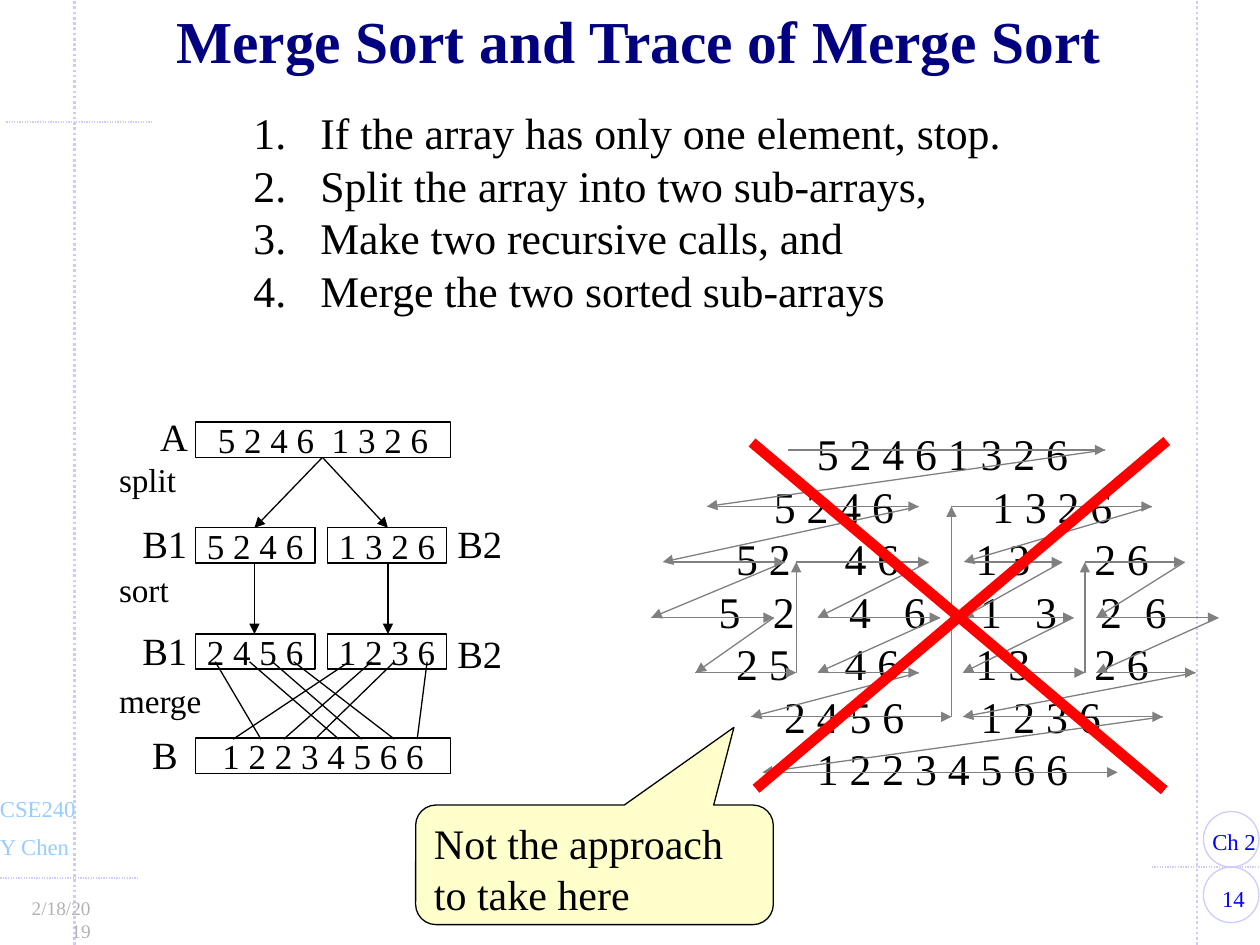
from itertools import pairwise

from lxml import etree
from pptx import Presentation
from pptx.dml.color import RGBColor
from pptx.enum.dml import MSO_LINE
from pptx.enum.shapes import MSO_CONNECTOR, MSO_SHAPE
from pptx.enum.text import MSO_ANCHOR, MSO_AUTO_SIZE, PP_ALIGN
from pptx.oxml.ns import qn
from pptx.util import Cm, Pt

STRAIGHT = MSO_CONNECTOR.STRAIGHT
DOTTED = MSO_LINE.ROUND_DOT
RECTANGLE = MSO_SHAPE.RECTANGLE
OVAL = MSO_SHAPE.OVAL
CALLOUT = MSO_SHAPE.ROUNDED_RECTANGULAR_CALLOUT
LEFT, CENTER, RIGHT = PP_ALIGN.LEFT, PP_ALIGN.CENTER, PP_ALIGN.RIGHT
TOP, MIDDLE = MSO_ANCHOR.TOP, MSO_ANCHOR.MIDDLE

FONT = "Times New Roman"
COLORS = {
    "title": "000080", "text": "000000", "course": "99CCFF", "chapter": "0000FF",
    "date": "B2B2B2", "guide": "CCCCFF", "trace": "808080", "cross": "FF0000",
    "note": "FFFFCC",
}

STEPS = [
    "If the array has only one element, stop.",
    "Split the array into two sub-arrays,",
    "Make two recursive calls, and",
    "Merge the two sorted sub-arrays",
]

QUARTERS = [1.39, 3.58, 6.22, 8.61]
TRACE_ROWS = [
    (["5 2 4 6 1 3 2 6"], [5]),
    (["5 2 4 6", "1 3 2 6"], [2.81, 7.21]),
    (["5 2", "4 6", "1 3", "2 6"], QUARTERS),
    (list("52461326"), [0.71, 1.8, 3.34, 4.44, 5.98, 7.09, 8.4, 9.3]),
    (["2 5", "4 6", "1 3", "2 6"], QUARTERS),
    (["2 4 5 6", "1 2 3 6"], [3.02, 6.98]),
    (["1 2 2 3 4 5 6 6"], [5]),
]
TRACE_Y = [9.07, 10.21, 11.33, 12.45, 13.56, 14.45, 15.57]
TRACE_ROUTES = [
    [(15.88, 0), (22.28, 0), (14.25, 1), (18.52, 1), (13.36, 2)],
    [(13.56, 2), (15.82, 2), (13.13, 3), (15.6, 3), (14.02, 4), (16.05, 4),
     (16.05, 2), (18.72, 2), (16.48, 3), (18.95, 3), (16.48, 4), (18.52, 4),
     (15.14, 5), (19.18, 5), (19.18, 1), (23.22, 1), (19.43, 2)],
    [(19.63, 2), (21.41, 2), (19.41, 3), (21.64, 3), (19.41, 4), (21.87, 4),
     (21.87, 2), (23.88, 2), (22.1, 3), (24.56, 3), (22.1, 4), (24.1, 4),
     (19.41, 5), (23.44, 5), (15.37, 6)],
    [(15.6, 6), (22.53, 6)],
]

MERGE_LINKS = [
    (7.04, 4.7), (7.49, 5.72), (4.34, 5.26), (7.95, 6.35),
    (5.03, 6.83), (5.49, 7.29), (8.61, 8.41), (5.92, 7.95),
]


def rgb(name):
    return RGBColor.from_string(COLORS[name])


def write_text(frame, text, *, size, color="text", bold=False, align=LEFT,
               anchor=TOP, inset=(0.28, 0.13), wrap=False, leading=None,
               numbered=False, tabs=None):
    frame.auto_size = MSO_AUTO_SIZE.NONE
    frame.word_wrap = wrap
    frame.vertical_anchor = anchor
    frame.margin_left = frame.margin_right = Cm(inset[0])
    frame.margin_top = frame.margin_bottom = Cm(inset[1])
    frame.text = text
    for index, paragraph in enumerate(frame.paragraphs):
        paragraph.alignment = align
        paragraph.line_spacing = leading
        font = paragraph.runs[0].font
        font.name, font.size, font.bold = FONT, Pt(size), bold
        font.color.rgb = rgb(color)
        properties = paragraph._p.get_or_add_pPr()
        if numbered:
            properties.set("marL", str(Cm(1.35)))
            properties.set("indent", str(Cm(-1.35)))
            etree.SubElement(properties, qn("a:buAutoNum"), type="arabicPeriod")
        if tabs:
            stops = etree.SubElement(properties, qn("a:tabLst"))
            for position in tabs[index]:
                etree.SubElement(stops, qn("a:tab"), pos=str(Cm(position)), algn="ctr")


def add_label(slide, text, left, top, width, height, **style):
    label = slide.shapes.add_textbox(Cm(left), Cm(top), Cm(width), Cm(height))
    write_text(label.text_frame, text, **style)


def add_outline(slide, kind, left, top, width, height, line="text", fill=None):
    shape = slide.shapes.add_shape(kind, Cm(left), Cm(top), Cm(width), Cm(height))
    shape.shadow.inherit = False
    shape.line.color.rgb = rgb(line)
    shape.line.width = Pt(0.75)
    if fill:
        shape.fill.solid()
        shape.fill.fore_color.rgb = rgb(fill)
    else:
        shape.fill.background()
    return shape


def add_array(slide, values, left, top, width):
    box = add_outline(slide, RECTANGLE, left, top, width, 0.71)
    write_text(box.text_frame, values, size=20, align=CENTER, anchor=MIDDLE,
               inset=(0.28, 0.15))


def add_line(slide, start, end, color="text", width=0.75, dash=None, arrow=False):
    line = slide.shapes.add_connector(STRAIGHT, *map(Cm, (*start, *end)))
    line.line.color.rgb = rgb(color)
    line.line.width = Pt(width)
    if dash:
        line.line.dash_style = dash
    properties = line.element.spPr
    if arrow:
        etree.SubElement(properties.find(qn("a:ln")), qn("a:tailEnd"), type="triangle")
    etree.SubElement(properties, qn("a:effectLst"))


def add_frame(slide):
    for x in (1.5, 24.13):
        add_line(slide, (x, 19.05), (x, 0), "guide", 1.5, DOTTED)
    for left, right, y in ((-0.15, 2.77, 17.7), (23.22, 25.53, 17.48), (0.13, 3.05, 2.46)):
        add_line(slide, (left, y), (right, y), "guide", dash=DOTTED)
    for top in (16.36, 17.48):
        add_outline(slide, OVAL, 24.26, top, 1.12, 1.12, line="guide")
    add_label(slide, "14", 24.13, 17.7, 1.47, 0.81, size=13, color="chapter", align=CENTER)
    add_label(slide, "Ch 2", 24.16, 16.56, 1.42, 0.81, size=13, color="chapter")
    add_label(slide, "Y Chen", -0.28, 16.66, 1.96, 0.81, size=13, color="course")
    add_label(slide, "CSE240", -0.28, 15.9, 2.06, 0.81, size=13, color="course")
    add_label(slide, "2/18/2019", 0.2, 17.93, 1.91, 0.74, size=11, color="date",
              align=RIGHT, wrap=True)


def add_trace(slide):
    rows = "\n".join("".join("\t" + part for part in parts) for parts, _ in TRACE_ROWS)
    add_label(slide, rows, 14, 8.46, 10, 7.77, size=25, inset=(0, 0.15), wrap=True,
              leading=Pt(30), tabs=[centers for _, centers in TRACE_ROWS])
    for route in TRACE_ROUTES:
        for (x1, row1), (x2, row2) in pairwise(route):
            add_line(slide, (x1, TRACE_Y[row1]), (x2, TRACE_Y[row2]), "trace", arrow=True)


def add_merge_diagram(slide):
    for start, end in MERGE_LINKS:
        add_line(slide, (start, 13.34), (end, 14.9))
    for center in (5.13, 7.82):
        add_line(slide, (6.5, 9.22), (center, 10.64), arrow=True)
        add_line(slide, (center, 11.33), (center, 12.78), arrow=True)
    add_array(slide, "5 2 4 6  1 3 2 6", 3.94, 8.51, 5.15)
    add_array(slide, "1 2 2 3 4 5 6 6", 3.94, 14.88, 5.15)
    for top, halves in ((10.64, ("5 2 4 6", "1 3 2 6")), (12.78, ("2 4 5 6", "1 2 3 6"))):
        for left, values in zip((3.94, 6.6), halves):
            add_array(slide, values, left, top, 2.41)
    for name, left, top in (("A", 2.95, 8.18), ("B1", 2.59, 10.34), ("B2", 8.94, 10.34),
                            ("B1", 2.59, 12.5), ("B2", 8.94, 12.55), ("B", 2.79, 14.58)):
        add_label(slide, name, left, top, 0.55 + 0.46 * len(name), 1.22,
                  size=22, inset=(0.28, 0.15))
    for phase, top, width in (("split", 9.12, 1.7), ("sort", 11.35, 1.55), ("merge", 13.59, 2.21)):
        add_label(slide, phase, 2.12, top, width, 1.07, size=19)


def add_verdict(slide):
    add_line(slide, (23.52, 8.89), (15.24, 15.9), "cross", 6)
    add_line(slide, (15.16, 8.92), (23.47, 15.93), "cross", 6)
    note = add_outline(slide, CALLOUT, 8.38, 16.23, 7.21, 2.41, fill="note")
    for index, value in enumerate((0.39, -1.15, 0.17)):
        note.adjustments[index] = value
    write_text(note.text_frame, "Not the approach to take here", size=24, wrap=True,
               inset=(0.25, 0.13), leading=Pt(29))


def main():
    deck = Presentation()
    deck.slide_width, deck.slide_height = Cm(25.4), Cm(19.05)
    slide = deck.slides.add_slide(deck.slide_layouts[5])
    title = slide.shapes.title
    title.left, title.top, title.width, title.height = map(Cm, (1.63, 0.13, 22.5, 1.57))
    write_text(title.text_frame, "Merge Sort and Trace of Merge Sort", size=34,
               color="title", bold=True, align=CENTER, anchor=MIDDLE, wrap=True, leading=0.85)
    add_frame(slide)
    add_trace(slide)
    add_merge_diagram(slide)
    add_label(slide, "\n".join(STEPS), 4.83, 2.01, 15.82, 4.57, size=25, wrap=True,
              leading=Pt(30), numbered=True)
    add_verdict(slide)
    deck.save("out.pptx")


if __name__ == "__main__":
    main()
